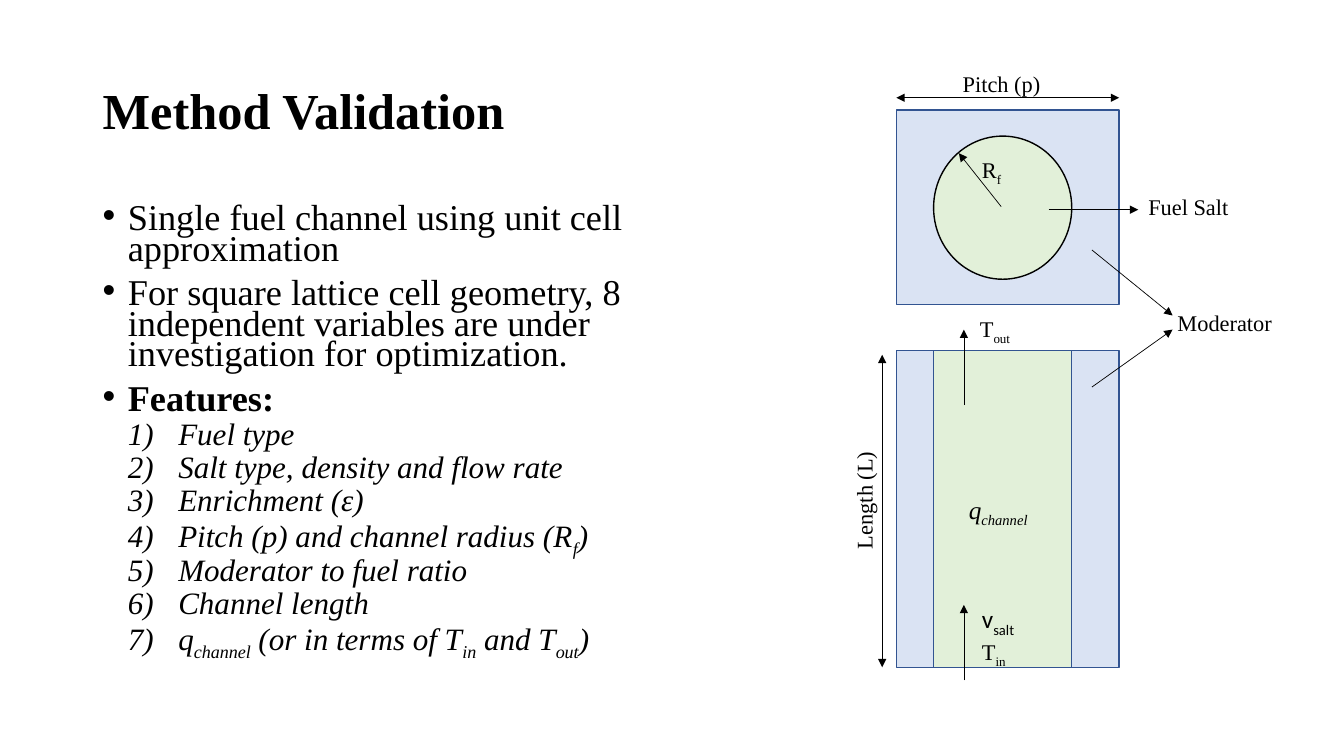
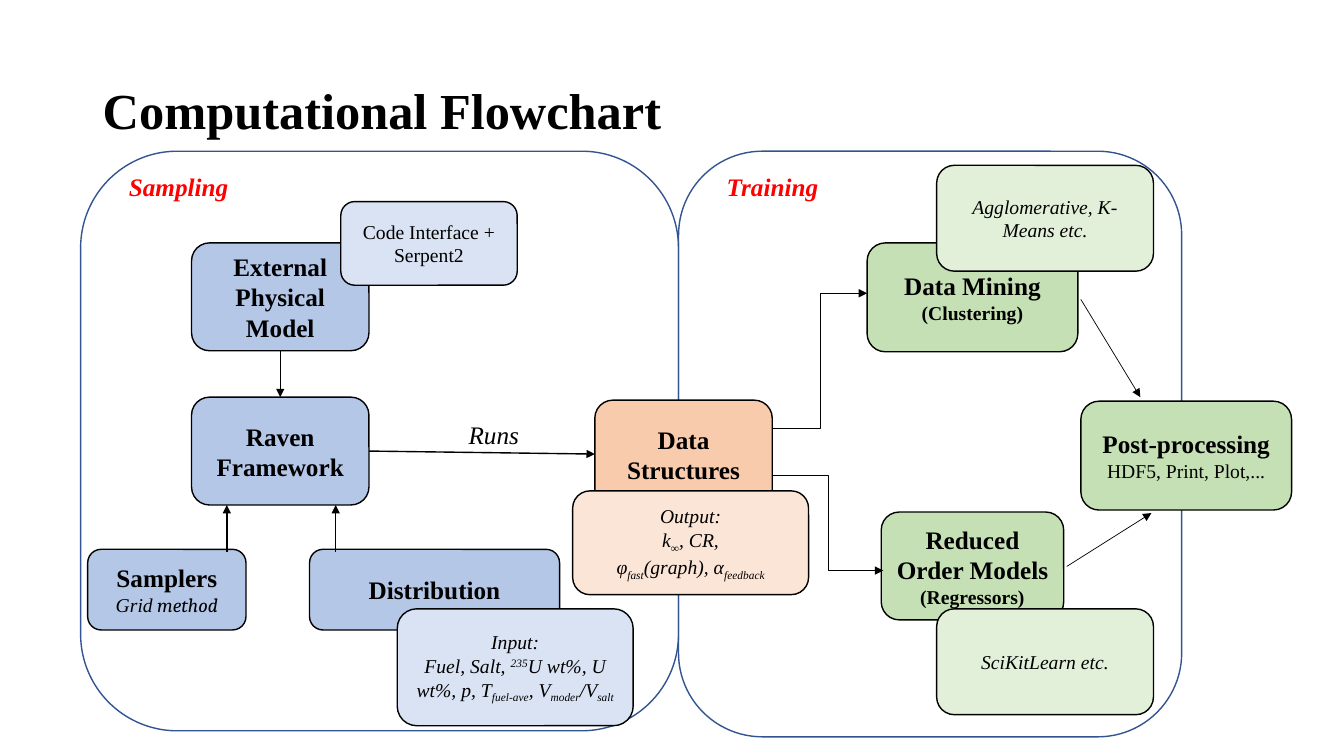
import dataclasses
import typing

import lxml.etree
import pptx
import pptx.dml.color
import pptx.enum.shapes
import pptx.enum.text
import pptx.oxml.ns
import pptx.util

COLORS = {
    "black": "000000", "red": "FF0000", "outline": "325491",
    "blue": "B4C7E7", "pale_blue": "DAE3F3",
    "green": "C5E0B4", "pale_green": "E2F0D9",
    "orange": "F8CBAD", "pale_orange": "FBE5D6",
}
FONT = "Times New Roman"
Inches = pptx.util.Inches
Shapes = pptx.enum.shapes.MSO_SHAPE
Connectors = pptx.enum.shapes.MSO_CONNECTOR
CENTER = pptx.enum.text.PP_ALIGN.CENTER
MIDDLE = pptx.enum.text.MSO_ANCHOR.MIDDLE
TOP, LEFT, BOTTOM, RIGHT = range(4)


@dataclasses.dataclass
class Line:
    """One paragraph; style holds b for bold and i for italic.

    Text between tildes is a marked span: ~_sub~, ~^super~ or ~@Cambria~.
    """
    text: str
    size: float = 16
    style: str = ""
    font: str = FONT
    color: str = "black"


def rgb(name):
    return pptx.dml.color.RGBColor.from_string(COLORS[name])


def add_element(parent, tag, **attributes):
    return lxml.etree.SubElement(parent, pptx.oxml.ns.qn(tag), attributes)


def write_paragraph(para, line):
    for index, text in enumerate(line.text.split("~")):
        if not text:
            continue
        span = para.add_run()
        marked = index % 2 == 1
        span.text = text[1:] if marked else text
        if marked and text[0] == "@":
            span.font.name = "Cambria"
        elif marked:
            baseline = {"_": "-25000", "^": "30000"}[text[0]]
            span.font._element.set("baseline", baseline)
    para.font.name = line.font
    para.font.size = pptx.util.Pt(line.size)
    para.font.bold = "b" in line.style
    para.font.italic = "i" in line.style
    para.font.color.rgb = rgb(line.color)


def write_text(box, lines, align=None):
    frame = box.text_frame
    frame.word_wrap = True
    for index, line in enumerate(lines):
        para = frame.add_paragraph() if index else frame.paragraphs[0]
        para.alignment = align
        write_paragraph(para, line)


@dataclasses.dataclass
class Region:
    """A box on a page; its parts are placed relative to its top left corner."""
    page: typing.Any
    left: float
    top: float
    width: float
    height: float

    def place(self, x, y):
        return Inches(self.left + x), Inches(self.top + y)

    def shape(self, kind, x, y, width, height, fill=None, outline="black"):
        shape = self.page.shapes.add_shape(
            kind, *self.place(x, y), Inches(width), Inches(height))
        shape.shadow.inherit = False
        if fill:
            shape.fill.solid()
            shape.fill.fore_color.rgb = rgb(fill)
        else:
            shape.fill.background()
        shape.line.color.rgb = rgb(outline)
        shape.line.width = pptx.util.Pt(1)
        return shape

    def panel(self, kind, fill=None):
        return self.shape(kind, 0, 0, self.width, self.height, fill, "outline")

    def node(self, x, y, width, height, fill, *lines):
        node = self.shape(Shapes.ROUNDED_RECTANGLE, x, y, width, height, fill)
        node.text_frame.vertical_anchor = MIDDLE
        write_text(node, lines, CENTER)
        return node

    def label(self, x, y, width, height, *lines):
        box = self.page.shapes.add_textbox(
            *self.place(x, y), Inches(width), Inches(height))
        write_text(box, lines)
        return box

    def arrow(self, start, end, weight=0.5, both=False,
              kind=Connectors.STRAIGHT):
        arrow = self.page.shapes.add_connector(
            kind, *self.place(*start), *self.place(*end))
        arrow.line.color.rgb = rgb("black")
        arrow.line.width = pptx.util.Pt(weight)
        outline = arrow.line._get_or_add_ln()
        if both:
            add_element(outline, "a:headEnd", type="triangle")
        add_element(outline, "a:tailEnd", type="triangle")
        add_element(arrow._element.spPr, "a:effectLst")
        return arrow

    def join(self, source, source_side, target, target_side):
        arrow = self.arrow((0, 0), (1, 1), weight=1)
        arrow.begin_connect(source, source_side)
        arrow.end_connect(target, target_side)


def add_page(deck, title):
    page = deck.slides.add_slide(deck.slide_layouts[6])
    region = Region(page, 0.92, 0.4, 11.5, 1.45)
    box = region.label(0, 0, region.width, region.height,
                       Line(title, 36, "b"))
    box.text_frame.vertical_anchor = MIDDLE
    box.text_frame.paragraphs[0].line_spacing = 0.9
    return page


def add_list(region, points, features):
    """Bulleted points, the last of which heads the numbered features."""
    box = region.label(0, 0, region.width, region.height)
    frame = box.text_frame
    lines = points + features
    for index, line in enumerate(lines):
        para = frame.add_paragraph() if index else frame.paragraphs[0]
        numbered = index >= len(points)
        margin, hanging = (0.75, 0.5) if numbered else (0.25, 0.25)
        para.line_spacing = 0.7
        para.space_before = pptx.util.Pt(
            0 if index == 0 else 5 if numbered else 10)
        properties = para._p.get_or_add_pPr()
        properties.set("marL", str(Inches(margin)))
        properties.set("indent", str(-Inches(hanging)))
        if numbered:
            add_element(properties, "a:buAutoNum", type="arabicParenR")
        else:
            add_element(properties, "a:buFont", typeface="Arial")
            add_element(properties, "a:buChar", char="•")
        write_paragraph(para, line)


def draw_cross_section(region):
    region.panel(Shapes.RECTANGLE, "pale_blue")
    region.shape(Shapes.OVAL, 0.37, 0.26, 1.37, 1.42, "pale_green")
    region.arrow((0, -0.12), (region.width, -0.12), both=True)
    region.label(0.56, -0.44, 0.99, 0.37, Line("Pitch (p)"))
    region.arrow((1.04, 0.96), (0.62, 0.43))
    region.label(0.75, 0.41, 0.42, 0.37, Line("R~_f~"))
    region.arrow((1.51, 0.99), (2.4, 0.99))
    region.label(2.4, 0.78, 1.18, 0.37, Line("Fuel Salt"))
    region.arrow((1.94, 1.39), (2.74, 2.04))
    region.label(2.69, 1.93, 1.31, 0.37, Line("Moderator"))


def draw_channel(region):
    region.panel(Shapes.RECTANGLE, "pale_blue")
    region.shape(Shapes.RECTANGLE, 0.37, 0, 1.37, region.height,
                 "pale_green", "outline")
    region.arrow((1.94, 0.36), (2.74, -0.21))
    region.arrow((-0.14, 0.04), (-0.14, region.height), both=True)
    length = region.label(-0.94, 1.26, 1.24, 0.37, Line("Length (L)"))
    length.rotation = 270
    for tail in (0.54, 3.27):
        region.arrow((0.67, tail), (0.67, tail - 0.75))
    region.label(0.73, -0.4, 0.59, 0.37, Line("T~_out~"))
    region.label(0.62, 1.37, 0.88, 0.4, Line("q~_channel~", 18, "i"))
    region.label(0.75, 2.46, 0.59, 0.67,
                 Line("v~_salt~", 18, font="Calibri"), Line("T~_in~"))


def draw_stage_panel(region, name):
    region.panel(Shapes.ROUNDED_RECTANGLE)
    region.label(0.38, 0.15, 1.26, 0.4, Line(name, 18, "bi", color="red"))


def draw_sampling(region):
    """Returns the framework node, from which the runs start."""
    draw_stage_panel(region, "Sampling")
    framework = region.node(1.1, 2.44, 1.76, 1.07, "blue",
                            Line("Raven Framework", 18, "b"))
    region.node(0.07, 3.95, 1.57, 0.8, "blue", Line("Samplers", 18, "b"),
                Line("Grid~@ method~", 14, "i"))
    region.node(2.27, 3.95, 2.48, 0.8, "blue", Line("Distribution", 18, "b"))
    model = region.node(1.1, 0.91, 1.76, 1.07, "blue",
                        Line("External Physical", 18, "b"),
                        Line("Model", 18, "b"))
    region.node(2.58, 0.5, 1.75, 0.83, "pale_blue",
                Line("Code Interface + Serpent2", 14))
    region.node(3.14, 4.54, 2.34, 1.16, "pale_blue", Line("Input:", 14, "i"),
                Line("Fuel, Salt, ~^235~U wt%, U wt%, p, T~_fuel-ave~, "
                     "V~_moder~/V~_salt~", 14, "i"))
    region.join(model, BOTTOM, framework, TOP)
    for x in (1.45, 2.53):
        region.arrow((x, 3.98), (x, 3.51), weight=1)
    return framework


def draw_training(region):
    draw_stage_panel(region, "Training")
    region.node(2.01, 3.58, 1.81, 1.07, "green",
                Line("Reduced Order Models", 18, "b"),
                Line("(Regressors)", 14, "b"))
    region.node(1.87, 0.91, 2.09, 1.08, "green",
                Line("Data Mining", 18, "b"), Line("(Clustering)", 14, "b"))
    region.node(3.99, 2.48, 2.09, 1.08, "green",
                Line("Post-processing", 18, "b"),
                Line("HDF5, Print, Plot,...", 14))
    for y, methods in ((0.14, "Agglomerative, K-Means etc."),
                       (4.54, "SciKitLearn etc.")):
        region.node(2.56, y, 2.15, 1.05, "pale_green", Line(methods, 14, "i"))
    region.arrow((0.94, 2.75), (1.87, 1.41), kind=Connectors.ELBOW)
    region.arrow((0.94, 3.22), (2.03, 4.16), kind=Connectors.ELBOW)
    region.arrow((3.99, 1.47), (4.58, 2.44))
    region.arrow((3.85, 4.12), (4.69, 3.59))


def draw_data_structures(region, framework):
    data = region.node(0.22, 0, 1.76, 1.07, "orange",
                       Line("Data Structures", 18, "b"))
    region.node(0, 0.9, region.width, 1.03, "pale_orange",
                Line("Output:", 14, "i"), Line("k~_∞~, CR,", 14, "i"),
                Line("φ~_fast~(graph), α~_feedback~", 14, "i"))
    region.join(framework, RIGHT, data, LEFT)
    region.label(-1.13, 0.14, 0.77, 0.4, Line("Runs", 18, "i"))


def build_validation(deck):
    page = add_page(deck, "Method Validation")
    points = [
        Line("Single fuel channel using unit cell approximation", 25.9),
        Line("For square lattice cell geometry, 8 independent variables are "
             "under investigation for optimization.", 25.9),
        Line("Features:", 25.9, "b"),
    ]
    features = [Line(text, 22.2, "i") for text in (
        "Fuel type",
        "Salt type, density and flow rate",
        "Enrichment (ε)",
        "Pitch (p) and channel radius (R~_f~)",
        "Moderator to fuel ratio",
        "Channel length",
        "q~_channel~ (or in terms of T~_in~ and T~_out~)",
    )]
    add_list(Region(page, 0.92, 2, 5.74, 4.76), points, features)
    draw_cross_section(Region(page, 8.89, 1.09, 2.21, 1.93))
    draw_channel(Region(page, 8.89, 3.48, 2.21, 3.14))


def build_flowchart(deck):
    page = add_page(deck, "Computational Flowchart")
    framework = draw_sampling(Region(page, 0.8, 1.5, 5.93, 5.75))
    draw_training(Region(page, 6.73, 1.5, 4.99, 5.81))
    draw_data_structures(Region(page, 5.68, 3.97, 2.34, 1.93), framework)


def main():
    deck = pptx.Presentation()
    deck.slide_width, deck.slide_height = Inches(13.33), Inches(7.5)
    build_validation(deck)
    build_flowchart(deck)
    deck.save("out.pptx")


if __name__ == "__main__":
    main()
